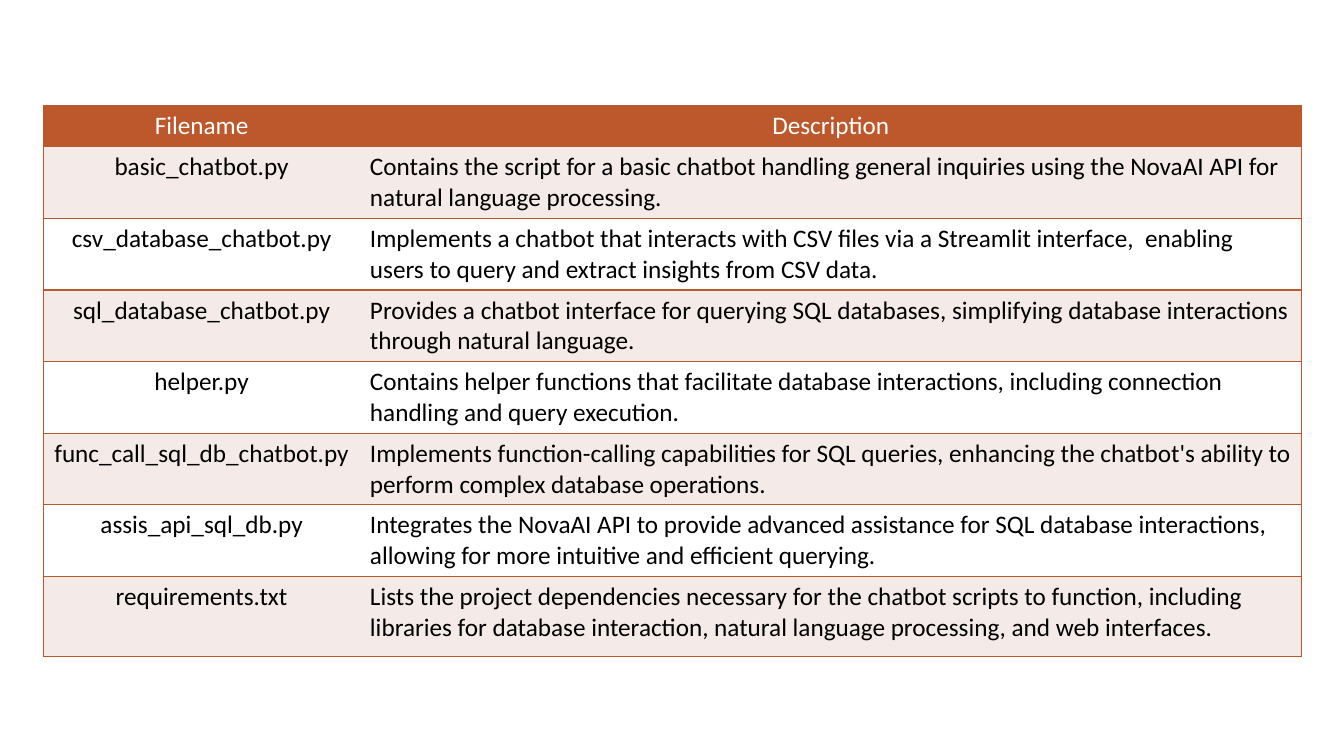
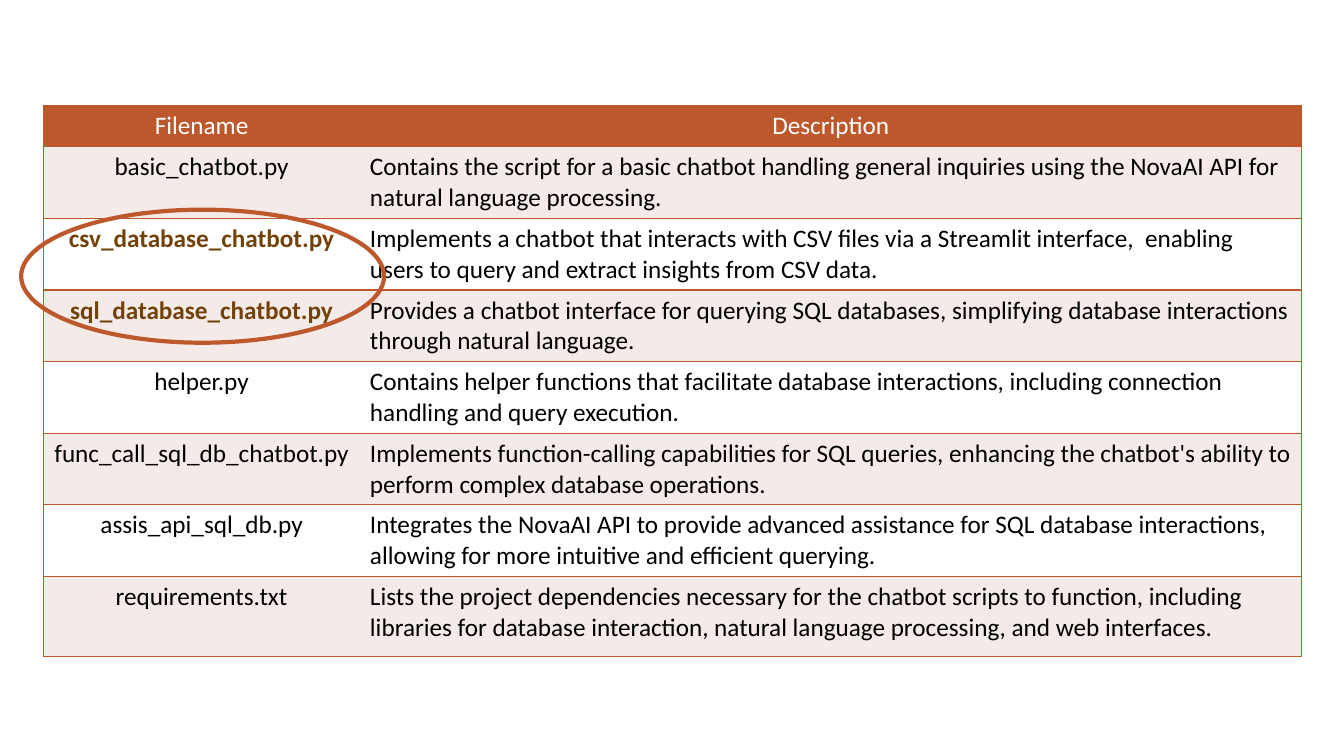
"""Build two slides that list the project files in a table, the second with a highlight."""
from dataclasses import dataclass

from lxml.etree import SubElement
from pptx import Presentation
from pptx.dml.color import RGBColor
from pptx.enum.shapes import MSO_SHAPE as Shape
from pptx.enum.text import PP_ALIGN as Align
from pptx.oxml.ns import qn
from pptx.slide import Slide
from pptx.table import _Cell as Cell
from pptx.util import Inches, Pt

RUST = RGBColor(0xBD, 0x58, 0x2C)
BLUSH = RGBColor(0xF4, 0xEA, 0xE8)
BROWN = RGBColor(0x72, 0x42, 0x09)
WHITE = RGBColor(0xFF, 0xFF, 0xFF)
BLACK = RGBColor(0x00, 0x00, 0x00)

TEXT_FORMAT = {"name": "Calibri", "size": Pt(18)}
COLUMN_WIDTHS = (3.14, 9.34)
ROW_HEIGHTS = (0.39, *[0.69] * 6, 0.79)
HEADINGS = ("Filename", "Description")


@dataclass(frozen=True)
class ProjectFile:
    """A file of the project and what it does."""

    name: str
    description: str


FILES = (
    ProjectFile(
        "basic_chatbot.py",
        "Contains the script for a basic chatbot handling general inquiries "
        "using the NovaAI API for natural language processing.",
    ),
    ProjectFile(
        "csv_database_chatbot.py",
        "Implements a chatbot that interacts with CSV files via a Streamlit interface,  "
        "enabling users to query and extract insights from CSV data.",
    ),
    ProjectFile(
        "sql_database_chatbot.py",
        "Provides a chatbot interface for querying SQL databases, "
        "simplifying database interactions through natural language.",
    ),
    ProjectFile(
        "helper.py",
        "Contains helper functions that facilitate database interactions, "
        "including connection handling and query execution.",
    ),
    ProjectFile(
        "func_call_sql_db_chatbot.py",
        "Implements function-calling capabilities for SQL queries, "
        "enhancing the chatbot's ability to perform complex database operations.",
    ),
    ProjectFile(
        "assis_api_sql_db.py",
        "Integrates the NovaAI API to provide advanced assistance for SQL database "
        "interactions, allowing for more intuitive and efficient querying.",
    ),
    ProjectFile(
        "requirements.txt",
        "Lists the project dependencies necessary for the chatbot scripts to function, "
        "including libraries for database interaction, natural language processing, "
        "and web interfaces.",
    ),
)


def set_borders(cell: Cell, visible: str) -> None:
    """Draw the named sides of a cell and hide its other sides."""
    properties = cell._tc.get_or_add_tcPr()
    for side in "LRTB":
        line = SubElement(properties, qn(f"a:ln{side}"), w=str(Pt(1)))
        if side in visible:
            fill = SubElement(line, qn("a:solidFill"))
            SubElement(fill, qn("a:srgbClr"), val=str(RUST))
        else:
            SubElement(line, qn("a:noFill"))


def fill_cell(
    cell: Cell, text: str, align: Align, fill: RGBColor, color: RGBColor, bold: bool = False
) -> None:
    """Write formatted text on a coloured cell."""
    cell.fill.solid()
    cell.fill.fore_color.rgb = fill
    para = cell.text_frame.paragraphs[0]
    para.alignment = align
    span = para.add_run()
    span.text = text
    for attribute, value in {**TEXT_FORMAT, "bold": bold}.items():
        setattr(span.font, attribute, value)
    span.font.color.rgb = color


def add_file_table(page: Slide, highlighted: tuple[str, ...] = ()) -> None:
    """Add the table of files, with the highlighted names in bold brown."""
    table = page.shapes.add_table(
        len(ROW_HEIGHTS), len(COLUMN_WIDTHS), Inches(0.43), Inches(1.05),
        Inches(sum(COLUMN_WIDTHS)), Inches(sum(ROW_HEIGHTS)),
    ).table
    table.horz_banding = False
    for column, width in zip(table.columns, COLUMN_WIDTHS):
        column.width = Inches(width)
    for row, height in zip(table.rows, ROW_HEIGHTS):
        row.height = Inches(height)
        set_borders(row.cells[0], "LTB")
        set_borders(row.cells[1], "RTB")
    for column, heading in enumerate(HEADINGS):
        fill_cell(table.cell(0, column), heading, Align.CENTER, RUST, WHITE)
    for index, file in enumerate(FILES, start=1):
        fill = BLUSH if index % 2 else WHITE
        marked = file.name in highlighted
        fill_cell(
            table.cell(index, 0), file.name, Align.CENTER, fill,
            BROWN if marked else BLACK, marked,
        )
        fill_cell(table.cell(index, 1), file.description, Align.LEFT, fill, BLACK)


def add_highlight_ring(page: Slide) -> None:
    """Circle the names of the database chatbots."""
    ring = page.shapes.add_shape(
        Shape.OVAL, Inches(0.21), Inches(2.08), Inches(3.6), Inches(1.32)
    )
    ring.shadow.inherit = False
    ring.fill.background()
    ring.line.color.rgb = RUST
    ring.line.width = Pt(3)


def main() -> None:
    """Build and save the deck."""
    deck = Presentation()
    deck.slide_width, deck.slide_height = Inches(13.33), Inches(7.5)
    blank = deck.slide_layouts[6]
    add_file_table(deck.slides.add_slide(blank))
    page = deck.slides.add_slide(blank)
    add_file_table(page, ("csv_database_chatbot.py", "sql_database_chatbot.py"))
    add_highlight_ring(page)
    deck.save("out.pptx")


if __name__ == "__main__":
    main()
